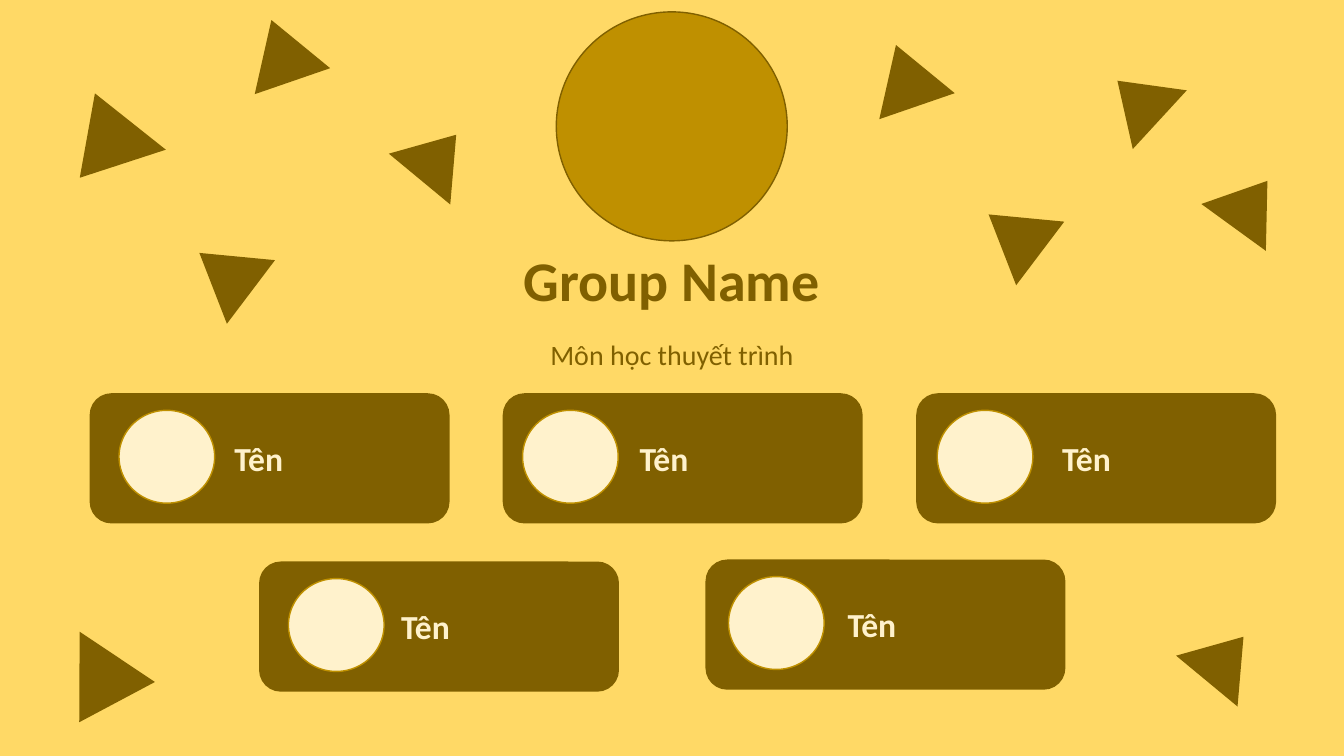
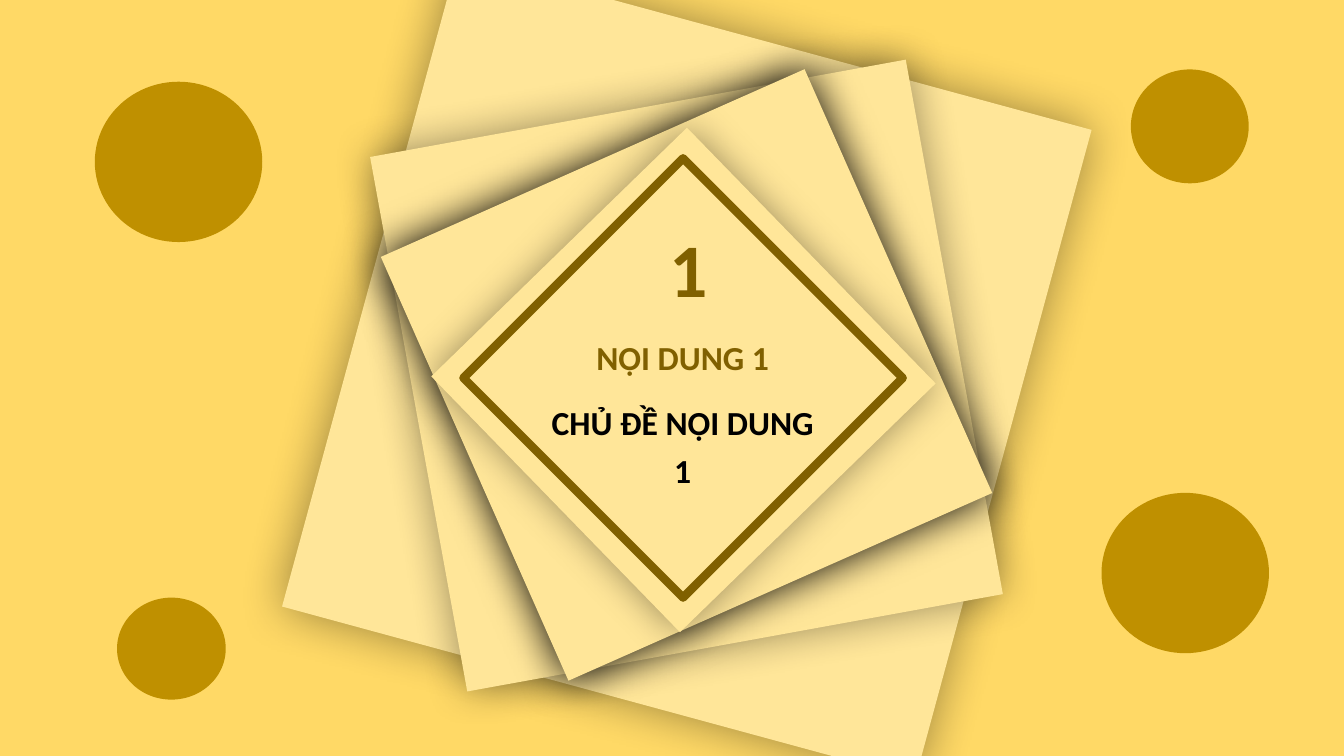
from lxml import etree
from pptx import Presentation
from pptx.dml.color import RGBColor
from pptx.enum import shapes as kinds, text as txt
from pptx.oxml.ns import qn
from pptx.util import Cm, Pt

HUES = {"back": "FFD966", "dark": "806000", "gold": "BF9000",
        "cream": "FFF2CC", "sand": "FFE699", "black": "000000"}
FONT = "Calibri"
KIND = kinds.MSO_SHAPE
MID, LEFT = txt.PP_ALIGN.CENTER, txt.PP_ALIGN.LEFT


def draw(home, kind, box, fill=None, line=None, width=1, turn=0):
    """Add a preset shape; box is left, top, width, height in cm."""
    shape = home.add_shape(kind, *map(Cm, box))
    shape.shadow.inherit = False
    shape.rotation = turn
    if fill:
        shape.fill.solid()
        shape.fill.fore_color.rgb = RGBColor.from_string(HUES[fill])
    else:
        shape.fill.background()
    if line:
        shape.line.color.rgb = RGBColor.from_string(HUES[line])
        shape.line.width = Pt(width)
    else:
        shape.line.fill.background()
    return shape


def write(shape, box, lines, size, bold=True, align=MID, lead=1, gap=0):
    """Place a text shape in front; lines holds (words, colour) pairs."""
    shape.left, shape.top, shape.width, shape.height = map(Cm, box)
    shape.element.getparent().append(shape.element)
    frame = shape.text_frame
    frame.word_wrap = True
    frame.auto_size = txt.MSO_AUTO_SIZE.NONE
    frame.vertical_anchor = txt.MSO_ANCHOR.TOP
    frame.text = "\n".join(words for words, hue in lines)
    for para, (words, hue) in zip(frame.paragraphs, lines):
        para.alignment = align
        para.line_spacing = lead
        para.space_before = para.space_after = Pt(gap)
        for run in para.runs:
            run.font.name = FONT
            run.font.size = Pt(size)
            run.font.bold = bold
            run.font.color.rgb = RGBColor.from_string(HUES[hue])


# Deck and shared background
deck = Presentation()
deck.slide_width, deck.slide_height = Cm(33.87), Cm(19.05)
back = deck.slide_master.background.fill
back.solid()
back.fore_color.rgb = RGBColor.from_string(HUES["back"])
cover, part = [deck.slides.add_slide(deck.slide_layouts[0]) for _ in range(2)]

# Cover: member cards (left, top, offset of disc, offset of name)
for x, y, disc, name in [(2.26, 9.91, 0.74, 3.4), (12.67, 9.91, 0.5, 3.2),
                         (23.09, 9.91, 0.53, 3.43), (6.53, 14.15, 0.74, 3.33),
                         (17.78, 14.1, 0.58, 3.33)]:
    card = cover.shapes.add_group_shape().shapes
    draw(card, KIND.ROUNDED_RECTANGLE, (x, y, 9.07, 3.28), "dark")
    draw(card, KIND.OVAL, (x + disc, y + 0.43, 2.41, 2.34), "cream", "gold")
    box = (x + name, y + 1, 4.37, 1.27)
    write(card.add_textbox(*map(Cm, box)), box, [("Tên", "cream")], 24, align=LEFT)

# Cover: emblem and scattered triangles
draw(cover.shapes, KIND.OVAL, (14.02, 0.3, 5.82, 5.77), "gold", "dark")
big, mid, flat = (2.16, 2.01), (2.01, 1.63), (2.01, 1.45)
for x, y, size, turn in [
        (2.11, 2.59, big, 100.2), (1.4, 15.8, big, 332),
        (24.56, 5.08, mid, 307.1), (4.67, 6.05, mid, 307.1),
        (21.84, 1.09, mid, 341), (6.1, 0.46, mid, 341),
        (27.69, 1.8, flat, 312.6), (29.87, 15.88, flat, 39.6),
        (10.03, 3.23, flat, 39.6), (30.51, 4.42, flat, 36)]:
    draw(cover.shapes, KIND.ISOSCELES_TRIANGLE, (x, y, *size), "dark", turn=turn)

# Cover: title and subject
write(cover.shapes.title, (11.38, 6.07, 11.1, 2.06), [("Group Name", "dark")], 40)
write(cover.placeholders[1], (12.4, 8.38, 9.07, 1.12),
      [("Môn học thuyết trình", "dark")], 20, bold=False)

# Section: turned sheets with soft shadows (box, turn, opacity %, blur pt)
for box, turn, alpha, blur in [
        ((9.04, 0.81, 16.54, 16.94), 15.2, 40, 34),
        ((10.44, 2.62, 13.72, 13.69), 349.7, 40, 30),
        ((11.46, 3.61, 11.68, 11.68), 66.1, 100, 30),
        ((12.73, 5.08, 8.99, 8.99), 315.8, 40, 28)]:
    sheet = draw(part.shapes, KIND.RECTANGLE, box, "sand", turn=turn)
    glow = sheet.element.spPr.find(qn("a:effectLst"))
    shade = etree.SubElement(glow, qn("a:outerShdw"), blurRad=str(Pt(blur)),
                             dist="0", dir="0", algn="ctr", rotWithShape="0")
    tint = etree.SubElement(shade, qn("a:srgbClr"), val=HUES["black"])
    etree.SubElement(tint, qn("a:alpha"), val=str(alpha * 1000))

# Section: frame and discs
draw(part.shapes, KIND.DIAMOND, (11.68, 3.99, 11.07, 11.07), line="dark", width=6)
for box in [(2.39, 2.06, 4.22, 4.04), (27.76, 12.42, 4.22, 4.04),
            (28.5, 1.75, 2.97, 2.87), (2.95, 15.06, 2.74, 2.57)]:
    draw(part.shapes, KIND.OVAL, box, "gold")

# Section: number and heading
write(part.shapes.title, (16.54, 5.46, 1.63, 2.57), [("1", "dark")], 54)
write(part.placeholders[1], (13.46, 8.15, 7.49, 4.29),
      [("NỘI DUNG 1", "dark"), ("CHỦ ĐỀ NỘI DUNG 1", "black")],
      24, lead=1.2, gap=6)

deck.save("out.pptx")
